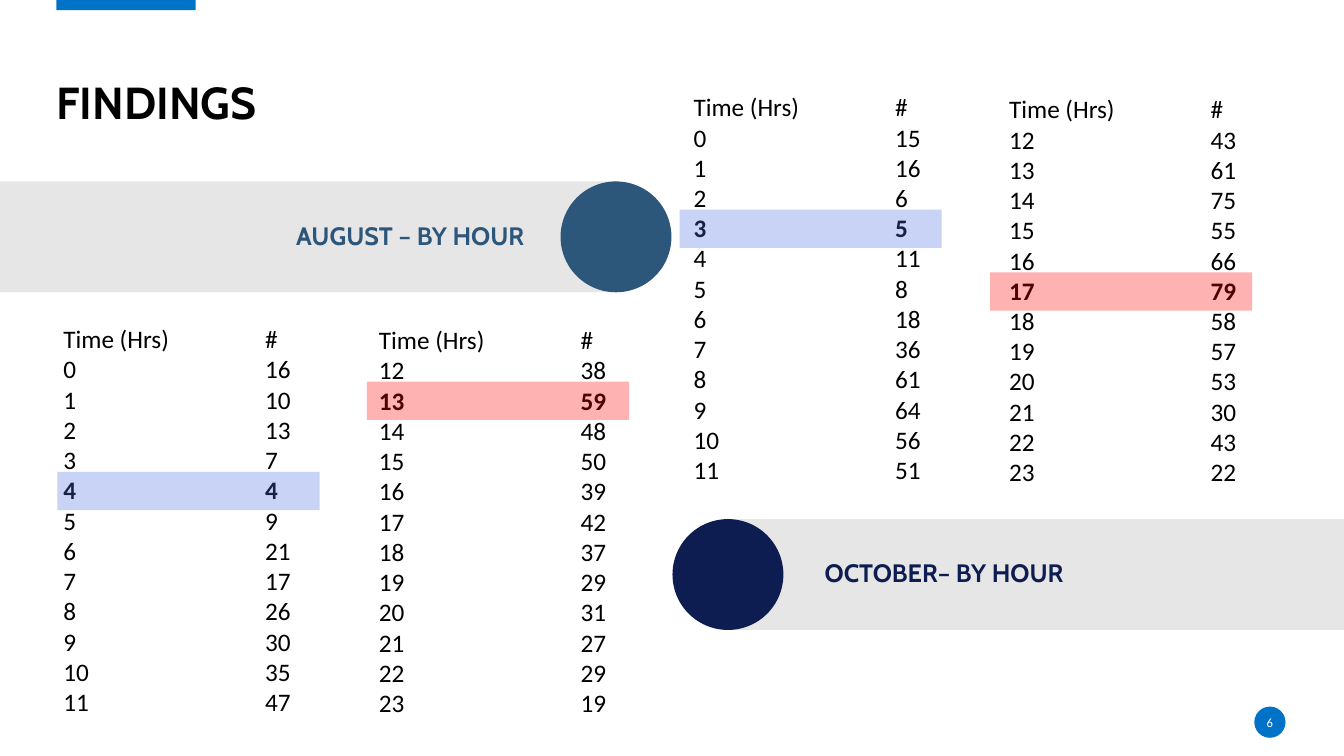
from dataclasses import dataclass
from pptx import Presentation
from pptx.dml.color import RGBColor as Rgb
from pptx.enum.shapes import MSO_SHAPE as Geo
from pptx.enum.text import MSO_ANCHOR as Anchor, PP_ALIGN as Align
from pptx.oxml.ns import qn
from pptx.util import Inches, Pt
from lxml.etree import SubElement as Sub


@dataclass(frozen=True)
class Theme:
    black: str = "000000"
    white: str = "FFFFFF"
    gray: str = "E7E6E6"
    blue: str = "0072C7"
    steel: str = "2C567A"
    navy: str = "0D1D51"
    low: str = "4C6FE2"
    high: str = "FF0000"
    head: str = "Cabin"
    body: str = "Calibri"
    title: int = 32
    text: int = 18
    small: int = 9


T = Theme()
WIDE, TALL = 13.33, 7.5
PITCH, INSET = 0.302, 0.05


def place(box):
    return [Inches(v) for v in box]


def shape(slide, geo, box, fill, alpha=None):
    item = slide.shapes.add_shape(geo, *place(box))
    item.shadow.inherit = False
    item.fill.solid()
    item.fill.fore_color.rgb = Rgb.from_string(fill)
    item.line.fill.background()
    if alpha:
        tint = item.fill._xPr.find(".//" + qn("a:srgbClr"))
        Sub(tint, qn("a:alpha"), val=str(alpha * 1000))
    return item


def write(slide, box, lines, size=T.text, font=T.body, color=T.black,
          bold=(), align=Align.LEFT, anchor=Anchor.MIDDLE,
          inset=(0, 0), space=1.0, tab=None):
    frame = slide.shapes.add_textbox(*place(box)).text_frame
    frame.word_wrap = True
    frame.vertical_anchor = anchor
    frame.margin_left = frame.margin_right = Inches(inset[0])
    frame.margin_top = frame.margin_bottom = Inches(inset[1])
    for i, line in enumerate(lines):
        para = frame.paragraphs[0] if i == 0 else frame.add_paragraph()
        para.alignment = align
        para.line_spacing = space
        if tab:
            stops = Sub(para._p.get_or_add_pPr(), qn("a:tabLst"))
            Sub(stops, qn("a:tab"), pos=str(Inches(tab)), algn="l")
        run = para.add_run()
        run.text = line
        run.font.name = font
        run.font.size = Pt(size)
        run.font.bold = i in bold
        run.font.color.rgb = Rgb.from_string(color)


def header(slide, box):
    x, y, w, h = box
    shape(slide, Geo.RECTANGLE, (x, 0, 1.38, 0.1), T.blue)
    write(slide, box, ["FINDINGS"], size=T.title, font=T.head, bold=(0,),
          anchor=Anchor.BOTTOM, space=0.9)


def banner(slide, box, label, color, gap, right=False):
    x, y, w, h = box
    bar = x if right else x + h / 2
    dot = x + w - h if right else x
    span = 3.77
    left = dot - gap - span if right else dot + h + gap
    shape(slide, Geo.RECTANGLE, (bar, y, w - h / 2, h), T.gray)
    shape(slide, Geo.OVAL, (dot, y, h, h), color)
    write(slide, (left, y + 0.28, span, h - 0.56), [label], font=T.head,
          color=color, bold=(0,), space=0.9,
          align=Align.RIGHT if right else Align.LEFT)


def hours(slide, box, start, counts, pick, shift):
    x, y, w, h = box
    row = counts.index(pick(counts)) + 1
    lines = ["Time (Hrs)\t#"]
    lines += [f"{hour}\t{count}" for hour, count in enumerate(counts, start)]
    write(slide, box, lines, bold=(row,), anchor=Anchor.TOP,
          inset=(0.1, INSET), tab=2)
    mid = y + INSET + (row + 0.5) * PITCH
    shape(slide, Geo.RECTANGLE, (x + shift, mid - 0.19, 2.6, 0.38),
          T.low if pick is min else T.high, alpha=30)


def number(slide, box):
    shape(slide, Geo.OVAL, box, T.blue)
    write(slide, box, ["6"], size=T.small, color=T.white, align=Align.CENTER)


def main():
    deck = Presentation()
    deck.slide_width, deck.slide_height = Inches(WIDE), Inches(TALL)
    slide = deck.slides.add_slide(deck.slide_layouts[6])
    header(slide, (0.56, 0.27, 12.19, 1.01))
    banner(slide, (0, 1.8, 6.66, 1.1), "AUGUST – BY HOUR", T.steel, 0.36, right=True)
    banner(slide, (6.67, 5.15, 6.66, 1.1), "OCTOBER– BY HOUR", T.navy, 0.41)
    tables = [
        (6.78, 0.86, 0, [15, 16, 6, 5, 11, 8, 18, 36, 61, 64, 56, 51], min, -0.04),
        (9.91, 0.88, 12, [43, 61, 75, 55, 66, 79, 58, 57, 53, 30, 43, 22], max, -0.09),
        (0.53, 3.16, 0, [16, 10, 13, 7, 4, 9, 21, 17, 26, 30, 35, 47], min, 0.04),
        (3.66, 3.17, 12, [38, 59, 48, 50, 39, 42, 37, 29, 31, 27, 29, 19], max, -0.02),
    ]
    for x, y, start, counts, pick, shift in tables:
        hours(slide, (x, y, 2.89, 4.04), start, counts, pick, shift)
    number(slide, (12.44, 7.01, 0.31, 0.31))
    deck.save("out.pptx")


if __name__ == "__main__":
    main()
